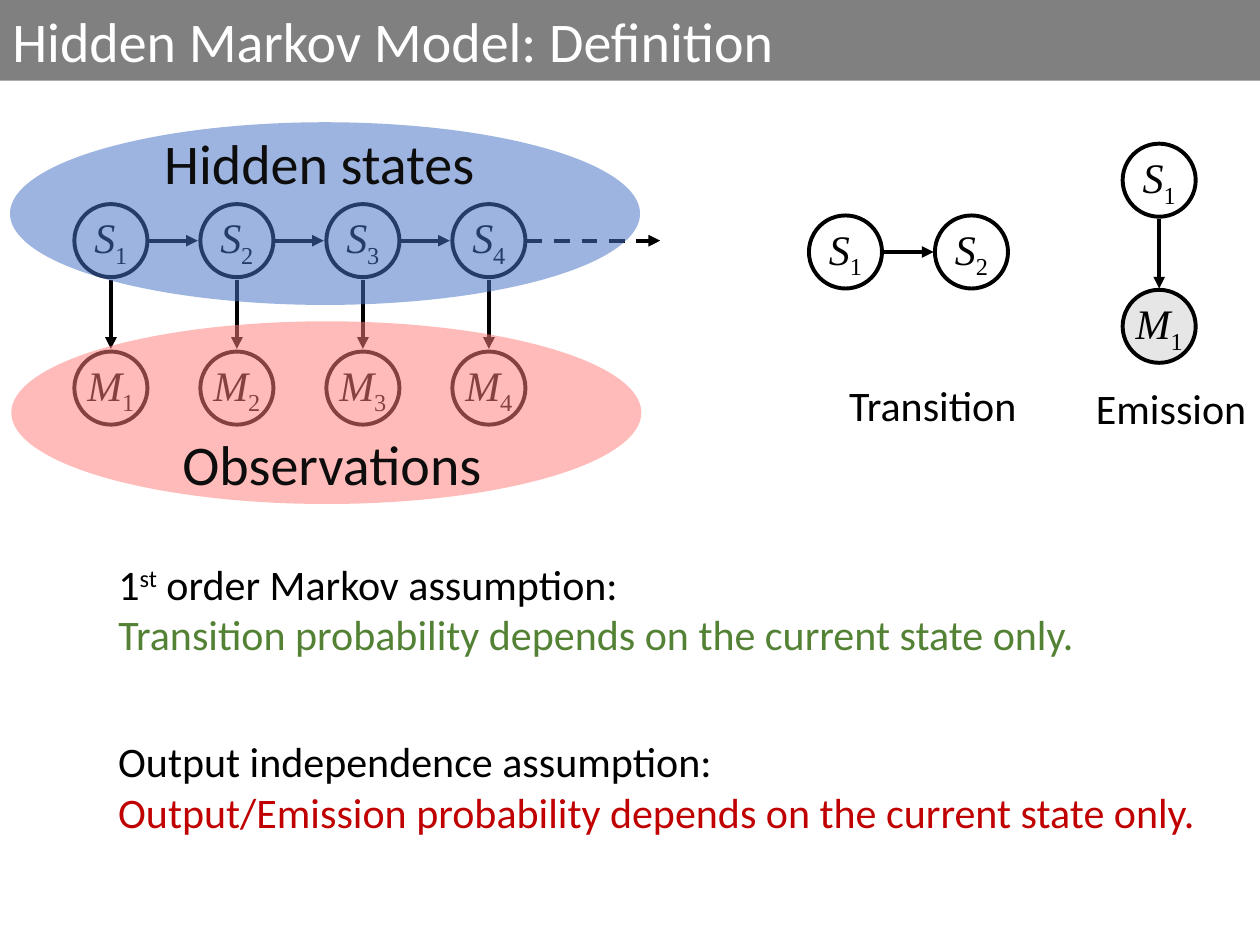
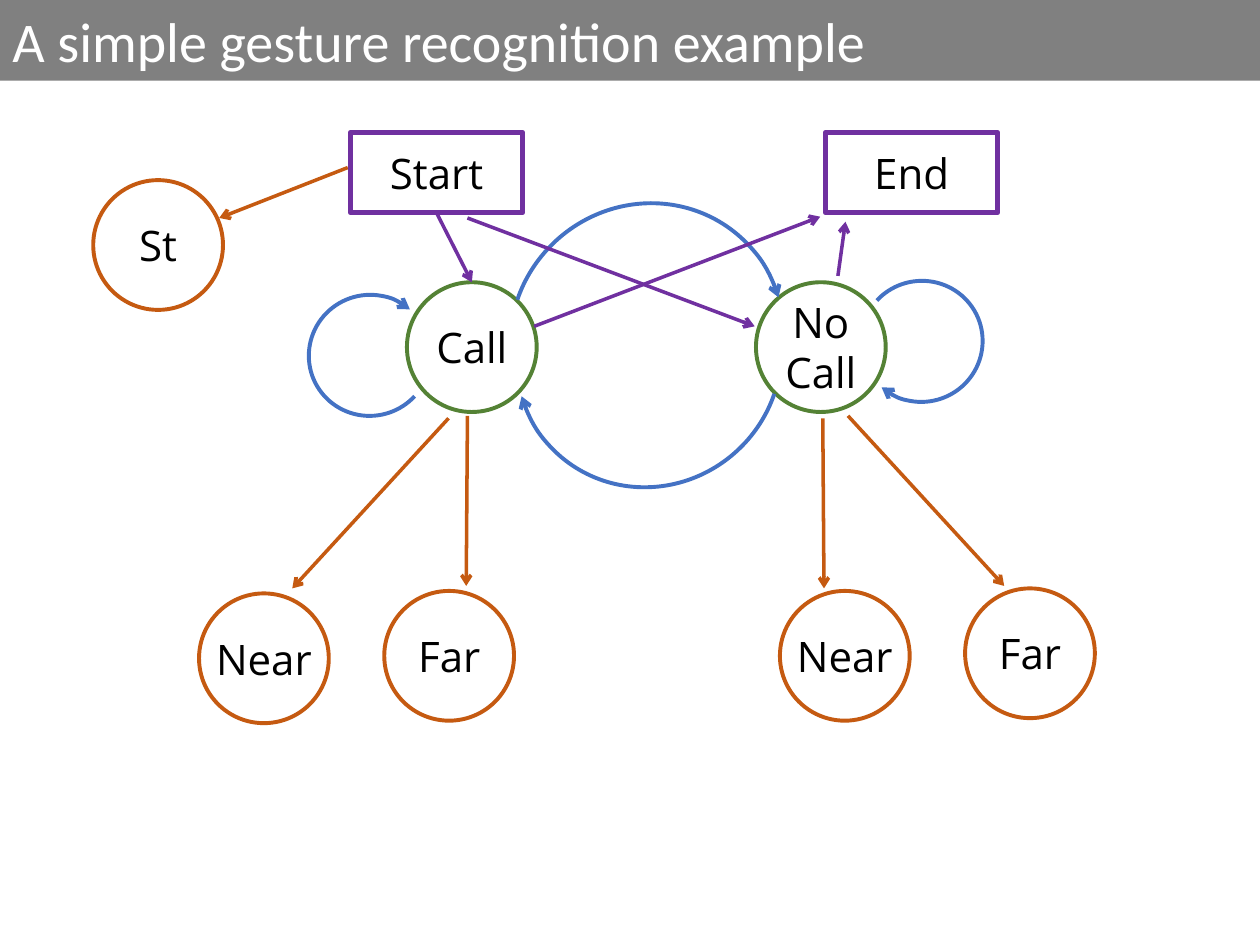
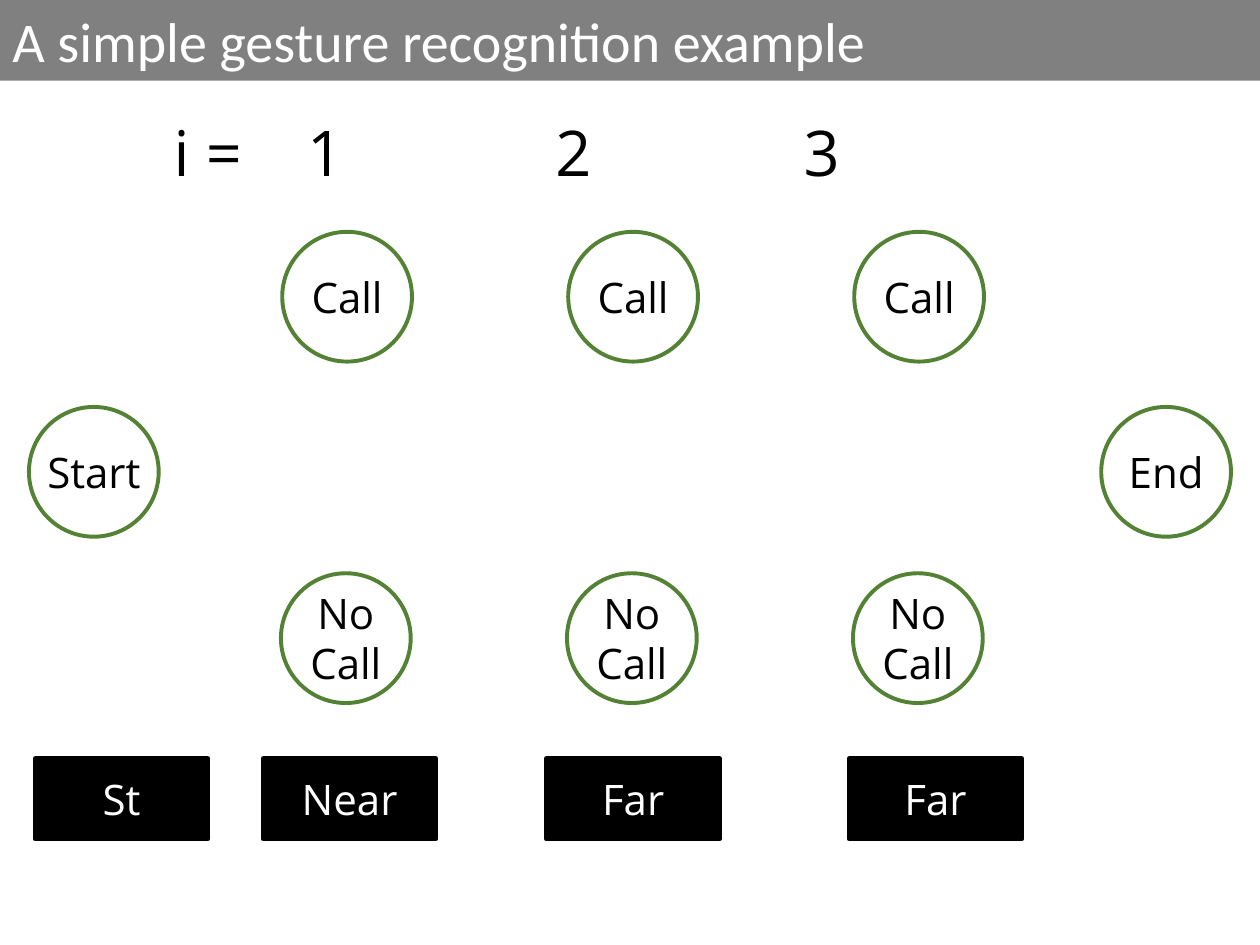
import dataclasses

import pptx
import pptx.dml.color
import pptx.enum.dml
import pptx.enum.shapes
import pptx.enum.text
import pptx.oxml.ns
import pptx.util
from lxml import etree

Inches = pptx.util.Inches
Pt = pptx.util.Pt
SHAPE = pptx.enum.shapes.MSO_SHAPE
ALIGN = pptx.enum.text.PP_ALIGN
ANCHOR = pptx.enum.text.MSO_ANCHOR
qn = pptx.oxml.ns.qn


@dataclasses.dataclass(frozen=True)
class Theme:
    black: str = "000000"
    white: str = "FFFFFF"
    band: str = "808080"
    soft_black: str = "0D0D0D"
    observed: str = "E7E6E6"
    state: str = "548235"
    warning: str = "C00000"
    emission: str = "C55A11"
    transition: str = "4472C4"
    boundary: str = "7030A0"
    rose: str = "FF7E79"
    body_font: str = "Calibri"
    label_font: str = "Open Sans"
    math_font: str = "Times New Roman"
    body_size: int = 24
    title_size: int = 32
    index_size: int = 36
    outline: float = 2.25
    arrow: float = 2
    frame: float = 2.75


THEME = Theme()
NODE = 1.03                     # diameter of a labelled state
CIRCLE = 0.58                   # diameter of a variable such as S1
BLOCK = (1.37, 0.64)            # size of a labelled rectangle
LABEL_WIDTHS = {"Call": 0.83, "No\nCall": 0.83, "Near": 0.96, "Far": 0.72,
                "Start": 0.98, "End": 0.82, "St": 0.52}


def rgb(color):
    return pptx.dml.color.RGBColor.from_string(color)


class Painter:
    """Holds the deck, the theme and the slide being drawn."""

    def __init__(self, theme):
        self.theme = theme
        self.deck = pptx.Presentation()
        self.deck.slide_width, self.deck.slide_height = Inches(10), Inches(7.5)
        self.page = None

    def new_page(self, title):
        self.page = self.deck.slides.add_slide(self.deck.slide_layouts[6])
        band = self.shape(SHAPE.RECTANGLE, 0, 0, 10, 0.64, fill=self.theme.band)
        band.text_frame.vertical_anchor = ANCHOR.TOP
        self.fill_text(band.text_frame, [[(title, {})]],
                       size=self.theme.title_size, color=self.theme.white)

    # Text
    def fill_text(self, frame, paras, align=ALIGN.LEFT, size=None, font=None,
                  color=None):
        """Fill a frame; each para is a list of (text, overriding format)."""
        base = {"size": size or self.theme.body_size,
                "name": font or self.theme.body_font,
                "color": color or self.theme.black}
        for number, spans in enumerate(paras):
            para = frame.add_paragraph() if number else frame.paragraphs[0]
            para.alignment = align
            for words, changes in spans:
                span = para.add_run()
                span.text = words
                values = {**base, **changes}
                values["size"] = Pt(values["size"])
                span.font.color.rgb = rgb(values.pop("color"))
                baseline = values.pop("baseline", 0)
                for name, value in values.items():
                    setattr(span.font, name, value)
                if baseline:
                    span._r.get_or_add_rPr().set("baseline", str(baseline * 1000))

    def text(self, left, top, width, height, paras, wrap=True, **style):
        box = self.page.shapes.add_textbox(*map(Inches, (left, top, width, height)))
        box.text_frame.word_wrap = wrap
        box.text_frame.auto_size = pptx.enum.text.MSO_AUTO_SIZE.SHAPE_TO_FIT_TEXT
        self.fill_text(box.text_frame, paras, **style)
        return box

    # Shapes
    def shape(self, kind, left, top, width, height, fill=None, alpha=None,
              line=None, weight=None):
        item = self.page.shapes.add_shape(
            kind, *map(Inches, (left, top, width, height)))
        item.shadow.inherit = False
        if fill:
            item.fill.solid()
            item.fill.fore_color.rgb = rgb(fill)
        else:
            item.fill.background()
        if alpha:
            tint = item._element.spPr.find(qn("a:solidFill")).find(qn("a:srgbClr"))
            etree.SubElement(tint, qn("a:alpha")).set("val", str(alpha * 1000))
        if line:
            self.outline(item, line, weight or self.theme.outline)
        else:
            item.line.fill.background()
        return item

    def outline(self, item, color, weight, dash=False, head=None):
        item.line.color.rgb = rgb(color)
        item.line.width = Pt(weight)
        if dash:
            item.line.dash_style = pptx.enum.dml.MSO_LINE.DASH
        if head:
            ln = item._element.spPr.find(qn("a:ln"))
            etree.SubElement(ln, qn("a:tailEnd")).set("type", head)

    def variable(self, left, top, letter, index, fill):
        item = self.shape(SHAPE.OVAL, left, top, CIRCLE, CIRCLE,
                          fill=fill, line=self.theme.black)
        item.text_frame.word_wrap = False
        self.fill_text(item.text_frame,
                       [[(letter, {"italic": True}), (str(index), {"baseline": -25})]],
                       align=ALIGN.CENTER, font=self.theme.math_font)

    def labelled(self, kind, left, top, size, label, color=None, **look):
        """Draw an outline with its label centred on it."""
        width, height = size
        item = self.shape(kind, left, top, width, height, **look)
        lines = label.split("\n")
        text_width, text_height = LABEL_WIDTHS[label], 0.09 + 0.41 * len(lines)
        self.text(left + (width - text_width) / 2, top + (height - text_height) / 2,
                  text_width, text_height, [[(line, {})] for line in lines],
                  wrap=False, align=ALIGN.CENTER, color=color,
                  font=self.theme.label_font)
        return item

    def node(self, left, top, label, line):
        return self.labelled(SHAPE.OVAL, left, top, (NODE, NODE), label, line=line)

    def block(self, left, top, label, line, **look):
        return self.labelled(SHAPE.RECTANGLE, left, top, BLOCK, label,
                             line=line, weight=self.theme.frame, **look)

    # Lines
    def arrow(self, start, end, color, weight=None, head="arrow", dash=False):
        link = self.page.shapes.add_connector(
            pptx.enum.shapes.MSO_CONNECTOR.STRAIGHT, *map(Inches, start + end))
        self.outline(link, color, weight or self.theme.arrow, dash, head)
        etree.SubElement(link._element.spPr, qn("a:effectLst"))
        return link

    def model_arrow(self, start, end, dash=False):
        self.arrow(start, end, self.theme.black, self.theme.outline, "triangle", dash)

    def arc(self, left, top, width, height, rotation, sweep):
        item = self.shape(SHAPE.ARC, left, top, width, height)
        item.rotation = rotation
        for number, angle in enumerate(sweep):
            item.adjustments[number] = angle
        self.outline(item, self.theme.transition, self.theme.outline, head="arrow")


def draw_definition(painter):
    theme = painter.theme
    painter.new_page("Hidden Markov Model: Definition")

    # Assumptions
    painter.text(0.84, 4.38, 8.25, 0.91, [
        [("1", {}), ("st", {"baseline": 30}), (" order Markov assumption:", {})],
        [("Transition probability depends on the current state only.",
          {"color": theme.state})]])
    painter.text(0.84, 5.79, 8.94, 0.91, [
        [("Output independence assumption:", {})],
        [("Output/Emission probability depends on the current state only.",
          {"color": theme.warning})]])

    # Chain of states with one observation each
    for index in range(1, 5):
        left = index - 0.41
        centre = left + CIRCLE / 2
        painter.variable(left, 1.62, "S", index, theme.white)
        painter.variable(left, 2.79, "M", index, theme.white)
        painter.model_arrow((centre, 2.22), (centre, 2.77))
        last = index == 4
        painter.model_arrow((left + 0.59, 1.91),
                            (5.24 if last else left + 0.98, 1.91), dash=last)

    # Transition and emission keys
    painter.variable(6.42, 1.71, "S", 1, theme.white)
    painter.variable(7.42, 1.71, "S", 2, theme.white)
    painter.model_arrow((7.02, 2), (7.41, 2))
    painter.variable(8.91, 1.14, "S", 1, theme.white)
    painter.variable(8.91, 2.3, "M", 1, theme.observed)
    painter.model_arrow((9.2, 1.74), (9.2, 2.29))
    for left, top, caption in ((6.64, 2.96, "Transition"), (8.6, 2.99, "Emission")):
        painter.text(left, top, 1.54, 0.5, [[(caption, {})]])

    # Highlighted layers
    layers = (
        ("Hidden states", 0.08, 0.97, theme.transition, 53, 0.78, 0.97),
        ("Observations", 0.09, 2.55, theme.rose, 52, 0.88, 3.36))
    for caption, left, top, fill, alpha, text_left, text_top in layers:
        painter.shape(SHAPE.OVAL, left, top, 5, 1.45, fill=fill, alpha=alpha)
        painter.text(text_left, text_top, 3.51, 0.64, [[(caption, {})]],
                     align=ALIGN.CENTER, size=theme.title_size,
                     color=theme.soft_black)


def draw_gesture_model(painter):
    theme = painter.theme
    painter.new_page("A simple gesture recognition example")

    # States and the transitions between them
    call = painter.node(3.23, 2.24, "Call", theme.state)
    painter.node(6, 2.24, "No\nCall", theme.state)
    across, loop = (144.99, 15.73), (144.99, 90.11)
    painter.arc(4.03, 1.63, 2.21, 2.14, 315.7, across)
    painter.arc(4.08, 1.78, 2.14, 2.07, 135.7, across)
    painter.arc(2.45, 2.34, 0.97, 0.96, 160.8, loop)
    painter.arc(6.83, 2.23, 0.97, 0.96, 340.8, loop)

    # Emissions
    for left, top, label in ((1.58, 4.71, "Near"), (3.05, 4.69, "Far"),
                             (6.19, 4.69, "Near"), (7.66, 4.67, "Far"),
                             (0.74, 1.43, "St")):
        painter.node(left, top, label, theme.emission)
    for start, end in (((3.56, 3.32), (2.32, 4.67)), ((3.71, 3.3), (3.7, 4.65)),
                       ((6.53, 3.32), (6.54, 4.67)), ((6.73, 3.3), (7.97, 4.65)),
                       ((2.76, 1.33), (1.74, 1.73))):
        painter.arrow(start, end, theme.emission)

    # Start and end
    start_block = painter.block(2.78, 1.05, "Start", theme.boundary)
    painter.block(6.55, 1.05, "End", theme.boundary)
    entry = painter.arrow((3.46, 1.69), (3.74, 2.24), theme.boundary)
    entry.begin_connect(start_block, 2)
    entry.end_connect(call, 0)
    for start, end in (((3.71, 1.73), (5.99, 2.59)), ((4.24, 2.59), (6.51, 1.72)),
                       ((6.65, 2.19), (6.71, 1.76))):
        painter.arrow(start, end, theme.boundary)


def draw_trellis(painter):
    theme = painter.theme
    painter.new_page("A simple gesture recognition example")

    # Time index, spaced by tab stops
    index_row = painter.text(1.28, 0.85, 6.37, 0.71, [[("i =\t1\t2\t3", {})]],
                             size=theme.index_size, font=theme.label_font)
    properties = index_row.text_frame.paragraphs[0]._p.get_or_add_pPr()
    tabs = etree.SubElement(properties, qn("a:tabLst"))
    for step in range(3):
        tab = etree.SubElement(tabs, qn("a:tab"))
        tab.set("pos", str(Inches(1.06 + 1.97 * step)))
        tab.set("algn", "l")

    # States at each step
    painter.node(0.23, 3.23, "Start", theme.state)
    for step in range(3):
        left = 2.24 + 2.27 * step
        painter.node(left, 1.84, "Call", theme.state)
        painter.node(left - 0.01, 4.55, "No\nCall", theme.state)
    painter.node(8.74, 3.23, "End", theme.state)

    # Observed sequence
    for left, label in ((0.28, "St"), (2.09, "Near"), (4.34, "Far"), (6.74, "Far")):
        painter.block(left, 6.02, label, theme.black,
                      fill=theme.black, color=theme.white)


def main():
    painter = Painter(THEME)
    draw_definition(painter)
    draw_gesture_model(painter)
    draw_trellis(painter)
    painter.deck.save("out.pptx")


if __name__ == "__main__":
    main()
